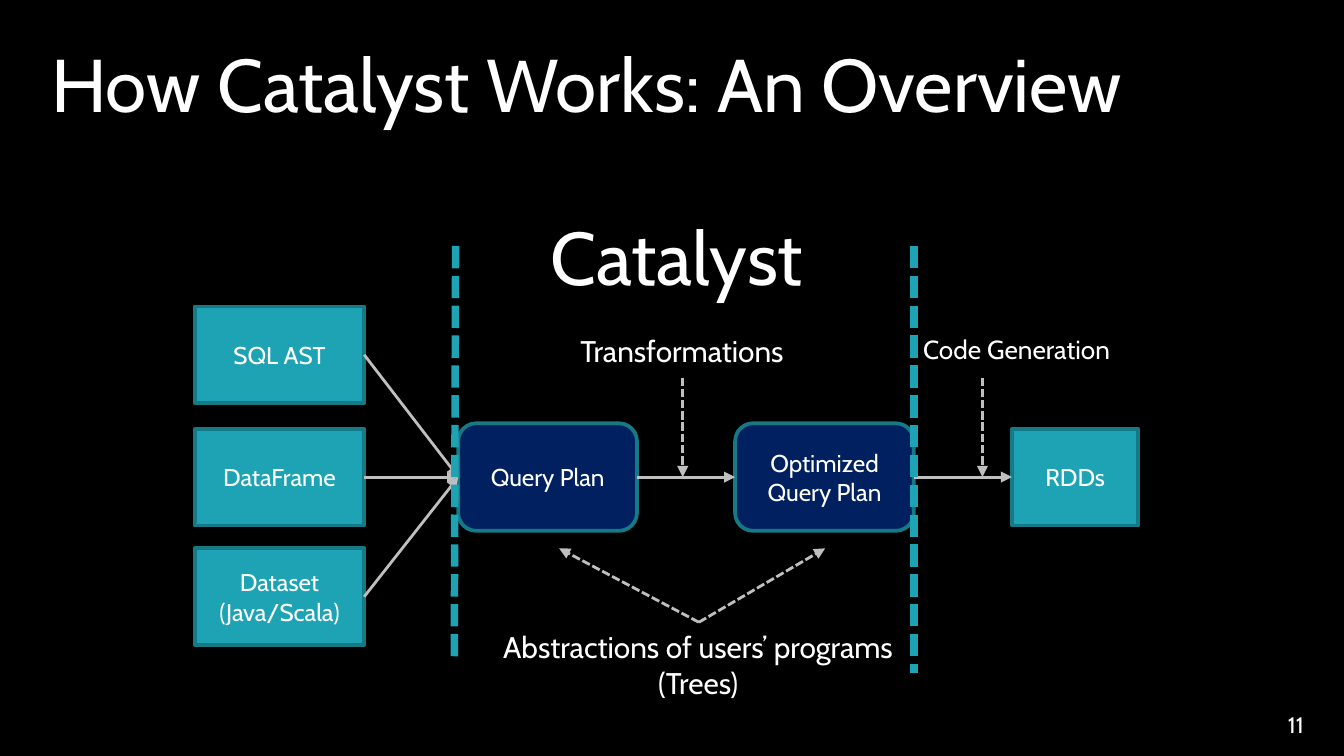
from pptx import Presentation
from pptx.dml.color import RGBColor
from pptx.enum.dml import MSO_LINE_DASH_STYLE as Dash
from pptx.enum.shapes import MSO_CONNECTOR as Connector, MSO_SHAPE as Shape
from pptx.enum.text import MSO_ANCHOR as Anchor, PP_ALIGN as Align
from pptx.oxml import parse_xml
from pptx.oxml.ns import nsdecls
from pptx.util import Inches, Pt

COLORS = {"black": "000000", "white": "FFFFFF", "teal": "1EA3B5",
          "edge": "167986", "navy": "002060", "gray": "BFBFBF"}
RGB = {name: RGBColor.from_string(value) for name, value in COLORS.items()}


def write_text(shape, text, size=13, align=Align.CENTER, anchor=Anchor.MIDDLE,
               wrap=True, margins=(0.1, 0.05)):
    frame = shape.text_frame
    frame.word_wrap = wrap
    frame.vertical_anchor = anchor
    frame.margin_left = frame.margin_right = Inches(margins[0])
    frame.margin_top = frame.margin_bottom = Inches(margins[1])
    frame.text = text
    for para in frame.paragraphs:
        para.alignment = align
        for span in para.runs:
            span.font.name = "Cabin"
            span.font.size = Pt(size)
            span.font.color.rgb = RGB["white"]


def add_line(start=(0, 0), end=(0, 0), source=None, target=None,
             color="gray", width=1.5, dashed=False, arrow=True):
    line = page.shapes.add_connector(
        Connector.STRAIGHT, *[Inches(value) for value in (*start, *end)])
    if source is not None:
        line.begin_connect(source, 3)
        line.end_connect(target, 1)
    line.line.color.rgb = RGB[color]
    line.line.width = Pt(width)
    if dashed:
        line.line.dash_style = Dash.SQUARE_DOT
    if arrow:
        line.line._get_or_add_ln().append(
            parse_xml(f'<a:tailEnd {nsdecls("a")} type="triangle"/>'))
    line._element.spPr.append(parse_xml(f'<a:effectLst {nsdecls("a")}/>'))


# Widescreen page, 16:9
deck = Presentation()
deck.slide_width = Inches(10)
deck.slide_height = Inches(10) * 9 // 16
page = deck.slides.add_slide(deck.slide_layouts[5])
page.background.fill.solid()
page.background.fill.fore_color.rgb = RGB["black"]

# Title
title = page.shapes.title
title.left, title.top = Inches(0.28), Inches(0.23)
title.width, title.height = Inches(9.36), Inches(0.94)
write_text(title, "How Catalyst Works: An Overview", size=40,
           align=Align.LEFT, anchor=Anchor.TOP)

# Pipeline boxes
boxes = {}
for text, left, top, width, height, kind in [
    ("SQL AST", 1.45, 2.28, 1.26, 0.72, "data"),
    ("DataFrame", 1.45, 3.19, 1.26, 0.72, "data"),
    ("Dataset\n(Java/Scala)", 1.45, 4.08, 1.26, 0.72, "data"),
    ("Query Plan", 3.41, 3.15, 1.33, 0.8, "plan"),
    ("Optimized Query Plan", 5.47, 3.15, 1.33, 0.8, "plan"),
    ("RDDs", 7.53, 3.19, 0.94, 0.72, "data"),
]:
    is_plan = kind == "plan"
    box = page.shapes.add_shape(
        Shape.ROUNDED_RECTANGLE if is_plan else Shape.RECTANGLE,
        Inches(left), Inches(top), Inches(width), Inches(height))
    box.shadow.inherit = False
    box.fill.solid()
    box.fill.fore_color.rgb = RGB["navy" if is_plan else "teal"]
    box.line.color.rgb = RGB["edge"]
    box.line.width = Pt(2)
    write_text(box, text, margins=(0, 0 if is_plan else 0.05))
    boxes[text] = box

# Flow arrows: three inputs into the query plan, then on to the RDDs
*inputs, plan, optimized, rdds = boxes.values()
for source, target in [*((box, plan) for box in inputs),
                       (plan, optimized), (optimized, rdds)]:
    add_line(source=source, target=target)

# Labels and page number
for text, left, top, width, height, style in [
    ("Code Generation", 6.77, 2.43, 1.61, 0.34,
     dict(size=14, align=Align.LEFT, anchor=Anchor.TOP)),
    ("Transformations", 4.19, 2.43, 1.77, 0.37,
     dict(size=16, anchor=Anchor.TOP, wrap=False)),
    ("Catalyst", 4, 1.5, 2.3, 0.8, dict(size=40, align=Align.LEFT)),
    ("Abstractions of users’ programs\n(Trees)", 3.61, 4.63, 3.17, 0.64,
     dict(size=16, anchor=Anchor.TOP, wrap=False)),
    ("11", 9.24, 5.24, 0.56, 0.3,
     dict(size=12, align=Align.RIGHT, anchor=Anchor.TOP)),
]:
    label = page.shapes.add_textbox(
        Inches(left), Inches(top), Inches(width), Inches(height))
    write_text(label, text, **style)

# Dashed pointers from the labels
for start, end in [((5.08, 2.81), (5.08, 3.55)), ((7.31, 2.81), (7.31, 3.55)),
                   ((5.2, 4.63), (4.16, 4.08)), ((5.2, 4.63), (6.14, 4.08))]:
    add_line(start, end, dashed=True)

# Borders of the Catalyst stage
for start, end in [((3.39, 1.83), (3.38, 4.91)), ((6.8, 1.83), (6.8, 5.01))]:
    add_line(start, end, color="teal", width=4, dashed=True, arrow=False)

deck.save("out.pptx")
